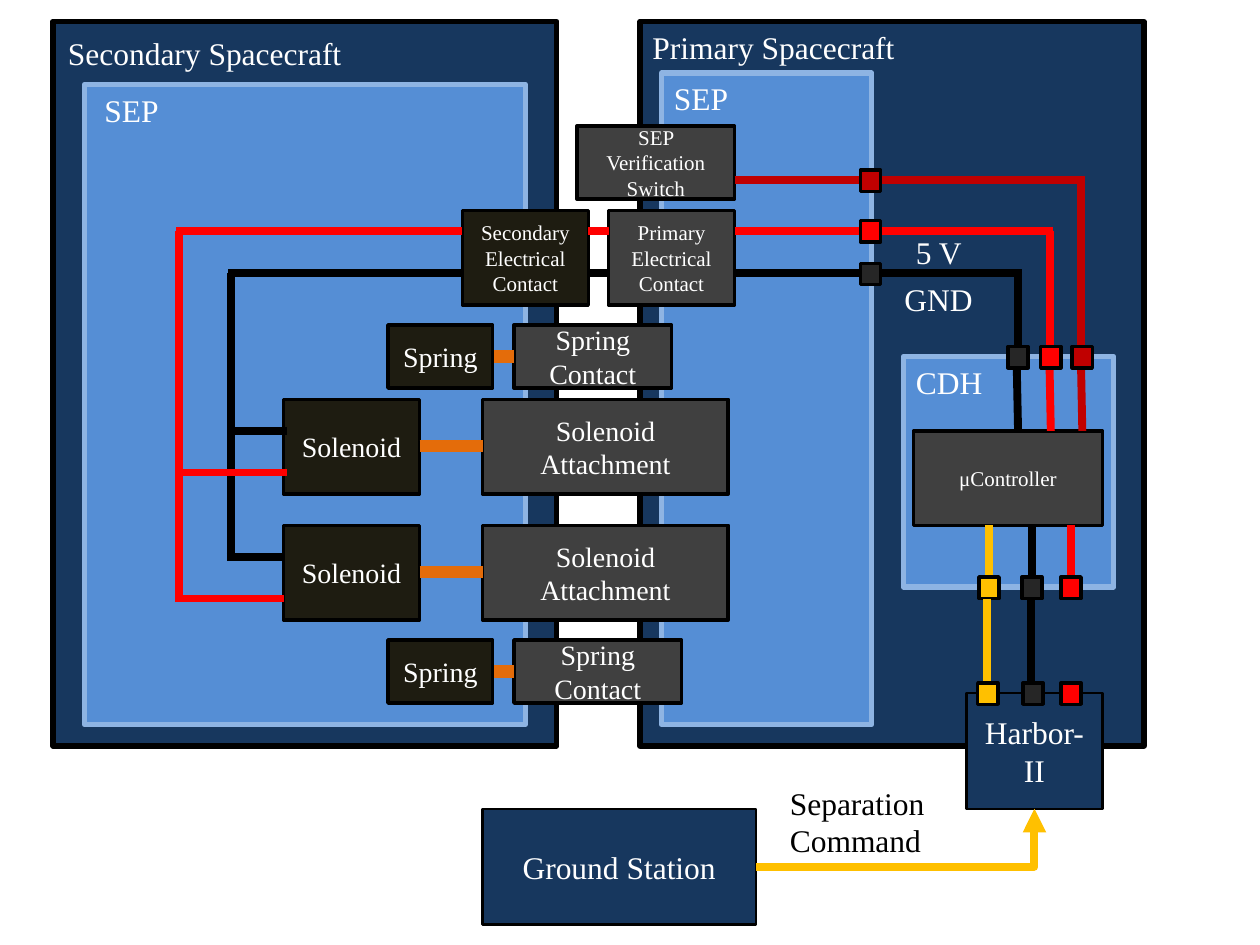
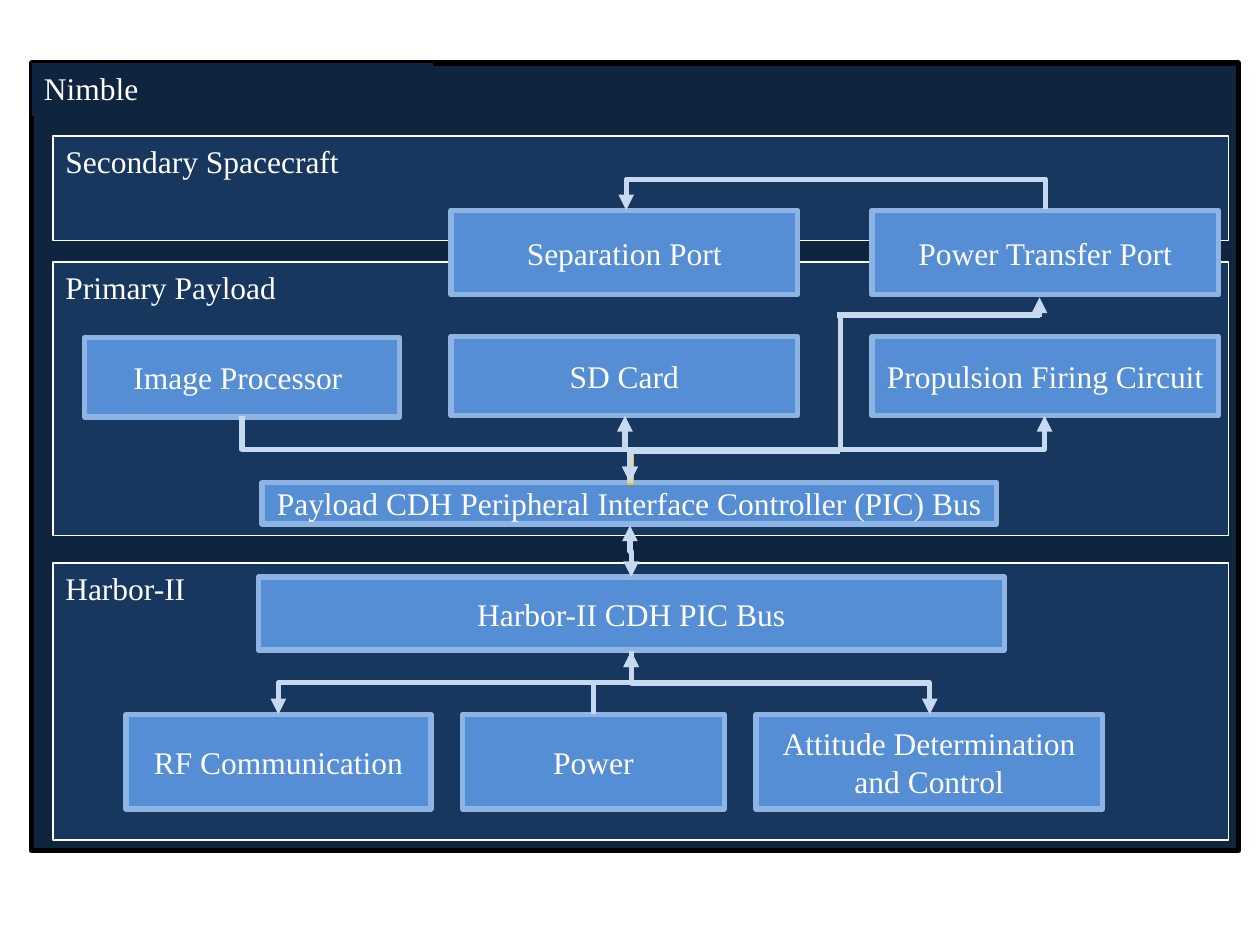
from dataclasses import dataclass
from typing import Any

from lxml import etree
from pptx import Presentation, util as u
from pptx.dml.color import RGBColor
from pptx.enum import shapes, text
from pptx.oxml.ns import qn

HUE = {
    "navy": "17375E", "deep": "0F243E", "blue": "558ED5", "sky": "8EB4E3",
    "pale": "C6D9F1", "black": "000000", "white": "FFFFFF", "coal": "1E1C11",
    "grey": "404040", "port": "262626", "red": "FF0000", "wine": "C00000",
    "gold": "FFC000", "rust": "E46C0A",
}
FONT = {"name": "Times New Roman", "size": u.Pt(18)}
BLOCK = {"word_wrap": True, "vertical_anchor": text.MSO_ANCHOR.MIDDLE}
LABEL = {"word_wrap": True, "vertical_anchor": text.MSO_ANCHOR.TOP,
         "auto_size": text.MSO_AUTO_SIZE.SHAPE_TO_FIT_TEXT}
PANEL = {"fill": "navy", "edge": "black", "width": 3}
TILE = {"fill": "blue", "edge": "sky", "width": 3}
BAND = {"fill": "navy", "edge": "white", "width": 1}
DARK = {"fill": "coal", "edge": "black", "width": 2}
GREY = {"fill": "grey", "edge": "black", "width": 2}
UNIT = {"fill": "navy", "edge": "black", "width": 1.5}
FLOW = {"hue": "pale", "width": 3}
BOTH = {"head": True, "tail": True}


def rgb(name):
    return RGBColor.from_string(HUE[name])


def apply(item, form):
    for key, value in form.items():
        setattr(item, key, value)


def write(frame, words, form, align, size, hue):
    frame.text = words
    apply(frame, form)
    for para in frame.paragraphs:
        para.alignment = align
        apply(para.font, {**FONT, "size": u.Pt(size)})
        para.font.color.rgb = rgb(hue)


@dataclass
class Area:
    slide: Any
    x: float
    y: float

    def rect(self, x, y, w, h, fill, edge=None, width=1):
        box = self.slide.shapes.add_shape(
            shapes.MSO_SHAPE.RECTANGLE, u.Inches(self.x + x),
            u.Inches(self.y + y), u.Inches(w), u.Inches(h))
        box.shadow.inherit = False
        box.fill.solid()
        box.fill.fore_color.rgb = rgb(fill)
        if edge:
            box.line.color.rgb = rgb(edge)
            box.line.width = u.Pt(width)
        else:
            box.line.fill.background()
        return box

    def block(self, x, y, w, h, words, look, size=18):
        box = self.rect(x, y, w, h, **look)
        write(box.text_frame, words, BLOCK, text.PP_ALIGN.CENTER, size, "white")

    def label(self, x, y, w, h, words, hue="white", fill=None):
        if fill:
            box = self.rect(x, y, w, h, fill)
        else:
            box = self.slide.shapes.add_textbox(
                u.Inches(self.x + x), u.Inches(self.y + y),
                u.Inches(w), u.Inches(h))
        write(box.text_frame, words, LABEL, text.PP_ALIGN.LEFT, 18, hue)

    def port(self, x, y, fill):
        self.rect(x, y, 0.16, 0.17, fill, "black", 2)

    def wire(self, x1, y1, x2, y2, hue, width=4.5, head=False, tail=False,
             kind=shapes.MSO_CONNECTOR.STRAIGHT):
        line = self.slide.shapes.add_connector(
            kind, u.Inches(self.x + x1), u.Inches(self.y + y1),
            u.Inches(self.x + x2), u.Inches(self.y + y2))
        line.line.color.rgb = rgb(hue)
        line.line.width = u.Pt(width)
        props = line._element.spPr
        pen = props.find(qn("a:ln"))
        for tag, tip in (("a:headEnd", head), ("a:tailEnd", tail)):
            if tip:
                etree.SubElement(pen, qn(tag)).set("type", "triangle")
        etree.SubElement(props, qn("a:effectLst"))
        return props

    def corner(self, *ends, **look):
        props = self.wire(*ends, kind=shapes.MSO_CONNECTOR.ELBOW, **look)
        props.find(qn("a:prstGeom")).set("prst", "bentConnector2")

    def bend(self, x1, y1, x2, y2, mid=None, **look):
        w, h = abs(y2 - y1), abs(x2 - x1)
        left, top = (x1 + x2 - w) / 2, (y1 + y2 - h) / 2
        props = self.wire(left, top, left + w, top + h,
                          kind=shapes.MSO_CONNECTOR.ELBOW, **look)
        frame = props.find(qn("a:xfrm"))
        frame.set("rot", "5400000")
        if y2 < y1:
            frame.set("flipH", "1")
        if x2 > x1:
            frame.set("flipV", "1")
        if mid is not None:
            share = round((mid - y1) / (y2 - y1) * 100000)
            guides = props.find(qn("a:prstGeom")).find(qn("a:avLst"))
            guide = etree.SubElement(guides, qn("a:gd"))
            guide.set("name", "adj1")
            guide.set("fmla", f"val {share}")


def second(area):
    area.rect(0, 0, 4, 5.75, **PANEL)
    area.label(0.02, 0.05, 2.75, 0.46, "Secondary Spacecraft")
    area.rect(0.25, 0.5, 3.5, 5.08, **TILE)
    area.label(0.31, 0.5, 1.69, 0.72, "SEP")


def prime(area):
    area.rect(0, 0, 4, 5.75, **PANEL)
    area.label(0, 0, 2.75, 0.4, "Primary Spacecraft")
    area.rect(0.17, 0.41, 1.67, 5.17, **TILE)
    area.label(0.17, 0.41, 0.91, 0.74, "SEP")


def joint(area):
    area.block(2.33, 0, 1.25, 0.58, "SEP Verification Switch", GREY, 12)
    for x, side, look in ((1.42, "Secondary", DARK), (2.58, "Primary", GREY)):
        area.block(x, 0.67, 1, 0.75, f"{side} Electrical\nContact", look, 12)
    for y, hue in ((0.83, "red"), (1.17, "black")):
        area.wire(2.42, y, 2.58, y, hue)
    for y in (2.17, 3.17):
        area.block(0, y, 1.08, 0.75, "Solenoid", DARK, 16)
        area.block(1.58, y, 1.95, 0.75, "Solenoid Attachment", GREY, 16)
        area.wire(1.08, y + 0.37, 1.58, y + 0.37, "rust", 7)
    for y, w in ((1.58, 1.25), (4.08, 1.33)):
        area.block(0.83, y, 0.83, 0.5, "Spring", DARK, 16)
        area.block(1.83, y, w, 0.5, "Spring Contact", GREY, 16)
        area.wire(1.67, y + 0.25, 1.83, y + 0.25, "rust", 7)


def loop(area):
    for hue, x, top, tap, end in (("black", 0.41, 0.34, 1.59, 2.59),
                                  ("red", 0, 0, 1.92, 2.92)):
        area.wire(x - 0.02, top, 2.25, top, hue)
        area.wire(x, top, x, end, hue)
        area.wire(x, tap, 0.86, tap, hue)
        area.wire(x - 0.03, end, 0.83, end, hue)


def feed(area):
    for hue, fill, x, y in (("red", "red", 2.5, 0.41),
                            ("black", "port", 2.25, 0.75),
                            ("wine", "wine", 2.75, 0.01)):
        area.wire(0, y, x + 0.03, y, hue)
        area.wire(x, y, x, 1.33, hue)
        area.port(1, y - 0.08, fill)
    area.label(1.34, 0.38, 1.65, 0.4, "5 V")
    area.label(1.25, 0.75, 1.49, 0.4, "GND")


def brain(area):
    area.rect(0, 0, 1.67, 1.83, **TILE)
    area.label(0, 0, 1.07, 0.4, "CDH")
    area.block(0.08, 0.59, 1.5, 0.75, "μController", GREY, 12)
    for x, hue, fill in ((0.83, "black", "port"), (1.09, "red", "red"),
                         (1.34, "wine", "wine")):
        area.wire(x + 0.07, 0.09, x + 0.08, 0.59, hue)
        area.port(x, -0.08, fill)
    for x, hue, fill in ((0.6, "gold", "gold"), (0.94, "black", "port"),
                         (1.25, "red", "red")):
        area.wire(x + 0.08, 1.34, x + 0.08, 1.75, hue)
        area.port(x, 1.75, fill)


def craft(area):
    area.block(0, 0, 1.08, 0.92, "Harbor-II", UNIT)
    for x, hue in ((0.16, "gold"), (0.51, "black")):
        area.wire(x, -0.75, x, -0.08, hue)
    for x, fill in ((0.09, "gold"), (0.45, "port"), (0.75, "red")):
        area.port(x, -0.08, fill)


def ground(area):
    area.block(0, 0, 2.17, 0.92, "Ground Station", UNIT)
    area.corner(2.17, 0.46, 4.38, 0, hue="gold", tail=True)
    area.label(2.34, -0.25, 1.49, 0.71, "Separation Command", "black")


def system(area):
    area.rect(0, 0, 9.58, 6.25, "deep", "black", 3)
    area.label(0, 0, 3.19, 0.42, "Nimble", fill="deep")


def band(area, high, name, tiles):
    area.rect(0, 0, 9.33, high, **BAND)
    area.label(0, 0, 3.11, 0.44, name)
    for x, y, w, h, words in tiles:
        area.block(x, y, w, h, words, TILE)


def payload(area):
    band(area, 2.17, "Primary Payload", (
        (0.25, 0.6, 2.5, 0.63, "Image Processor "),
        (6.5, 0.59, 2.75, 0.63, "Propulsion Firing Circuit"),
        (3.16, 0.59, 2.75, 0.63, "SD Card"),
        (1.66, 1.75, 5.83, 0.33,
         "Payload CDH Peripheral Interface Controller (PIC) Bus")))
    area.bend(4.58, 1.77, 4.59, 1.75, 1.52, hue="gold", width=3)
    for x, tips in ((1.5, {"tail": True}), (7.87, {"head": True}), (4.54, BOTH)):
        area.bend(x, 1.22, 4.58, 1.75, **FLOW, **tips)
    for ends in ((4.58, 1.75, 4.58, 1.5), (4.58, 1.5, 6.25, 1.5),
                 (6.25, 1.5, 6.25, 0.42), (6.22, 0.42, 7.83, 0.42)):
        area.wire(*ends, **FLOW)
    area.wire(7.83, 0.44, 7.83, 0.28, **FLOW, tail=True)


def mate(area):
    band(area, 0.83, "Secondary Spacecraft", (
        (6.5, 0.59, 2.75, 0.67, "Power Transfer Port"),
        (3.16, 0.59, 2.75, 0.67, "Separation Port")))
    area.bend(4.55, 0.59, 7.88, 0.58, 0.34, **FLOW, head=True)


def bus(area):
    band(area, 2.2, "Harbor-II", (
        (0.58, 1.2, 2.42, 0.75, "RF Communication"),
        (3.25, 1.2, 2.08, 0.75, "Power"),
        (5.58, 1.2, 2.75, 0.75, "Attitude Determination and Control"),
        (1.63, 0.11, 5.92, 0.58, "Harbor-II CDH PIC Bus")))
    for x, tips in ((1.79, BOTH), (4.29, {}), (6.96, BOTH)):
        area.bend(x, 1.2, 4.59, 0.7, **FLOW, **tips)
    area.bend(4.59, 0.11, 4.58, -0.3, **FLOW, **BOTH)


deck = Presentation()
deck.slide_width, deck.slide_height = u.Inches(10), u.Inches(7.5)
WIRING = ((second, 0.42, 0.17), (prime, 5.08, 0.17), (joint, 2.25, 1),
          (loop, 1.42, 1.83), (feed, 5.83, 1.42), (brain, 7.17, 2.83),
          (craft, 7.67, 5.5), (ground, 3.83, 6.42))
LAYERS = ((system, 0.25, 0.5), (payload, 0.42, 2.08), (mate, 0.42, 1.08),
          (bus, 0.42, 4.47))
for plan in (WIRING, LAYERS):
    page = deck.slides.add_slide(deck.slide_layouts[6])
    for draw, x, y in plan:
        draw(Area(page, x, y))
deck.save("out.pptx")
